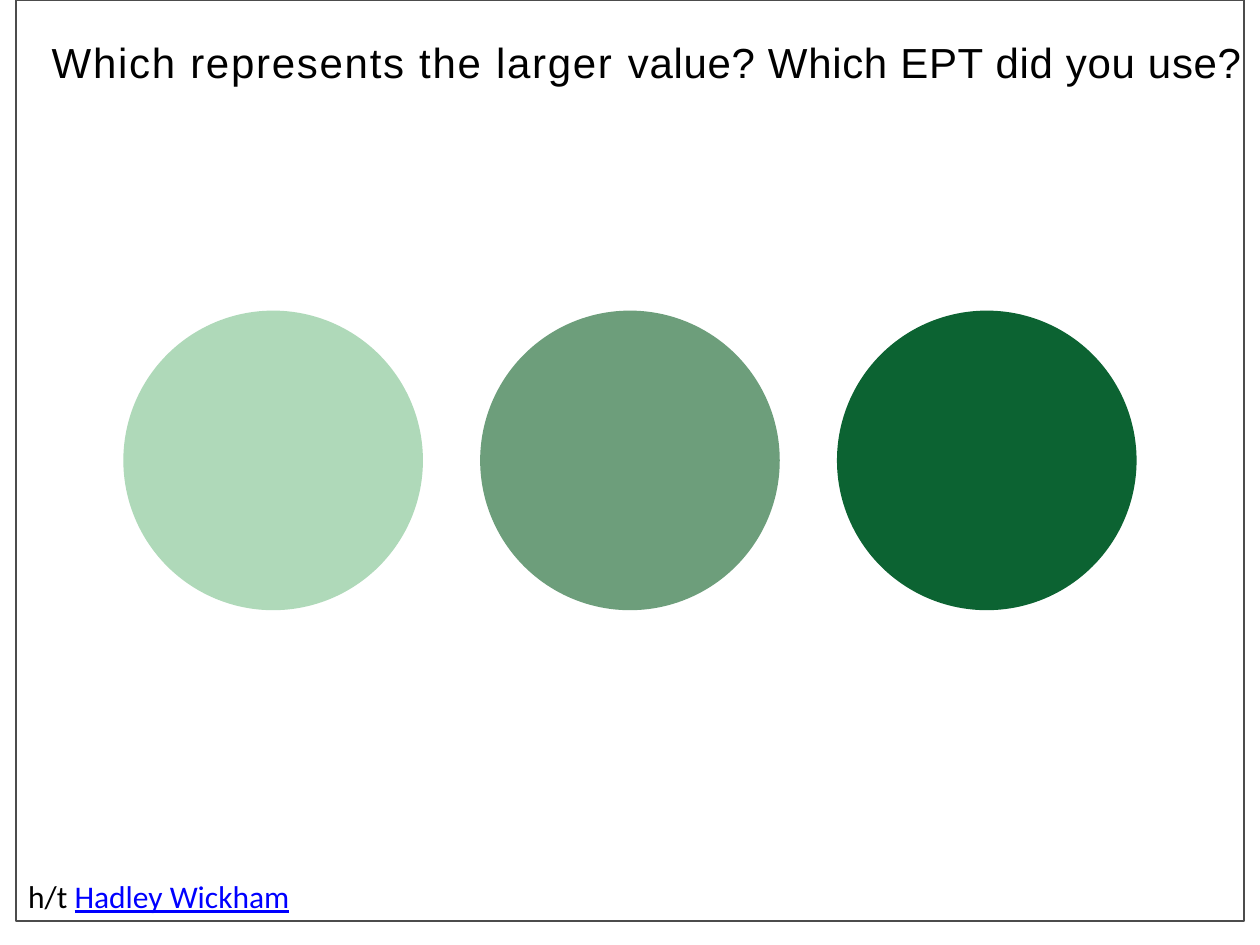
from pptx import Presentation
from pptx.dml.color import RGBColor
from pptx.enum import shapes
from pptx.util import Pt

BLACK = RGBColor(0x00, 0x00, 0x00)
LINK_BLUE = RGBColor(0x00, 0x00, 0xFF)
FRAME_GREY = RGBColor(0x4C, 0x4C, 0x4C)
GREENS = (
    RGBColor(0xAF, 0xD9, 0xB9),
    RGBColor(0x6D, 0x9E, 0x7B),
    RGBColor(0x0C, 0x63, 0x32),
)


def add_paragraph_box(page, left, top, width, height):
    """Add a wrapping text box and return its first paragraph."""
    box = page.shapes.add_textbox(Pt(left), Pt(top), Pt(width), Pt(height))
    box.text_frame.word_wrap = True
    return box.text_frame.paragraphs[0]


def add_span(para, wording, font, size, color=BLACK):
    """Append one formatted run to a paragraph."""
    span = para.add_run()
    span.text = wording
    span.font.name = font
    span.font.size = Pt(size)
    span.font.color.rgb = color
    return span


def add_circles(page, left, top, width, diameter):
    """Spread one circle per green evenly over the given width."""
    step = (width - diameter) / (len(GREENS) - 1)
    for index, green in enumerate(GREENS):
        circle = page.shapes.add_shape(
            shapes.MSO_SHAPE.OVAL,
            Pt(left + index * step), Pt(top), Pt(diameter), Pt(diameter),
        )
        circle.shadow.inherit = False
        circle.fill.solid()
        circle.fill.fore_color.rgb = green
        circle.line.fill.background()


def add_frame(page, left, top, width, height):
    """Draw the thin outline around the page content."""
    frame = page.shapes.add_shape(
        shapes.MSO_SHAPE.RECTANGLE, Pt(left), Pt(top), Pt(width), Pt(height)
    )
    frame.shadow.inherit = False
    frame.fill.background()
    frame.line.color.rgb = FRAME_GREY
    frame.line.width = Pt(1)


def add_credit(page, left, top, width, height):
    """Write the credit line with its underlined name."""
    para = add_paragraph_box(page, left, top, width, height)
    add_span(para, "h/t ", "Calibri", 18)
    name = add_span(para, "Hadley Wickham", "Calibri", 18, LINK_BLUE)
    name.font.underline = True


def add_question(page, left, top, width, height):
    """Write the question, its first words tracked wider than the rest."""
    para = add_paragraph_box(page, left, top, width, height)
    for wording, tracking in (
        ("Which represents the larger ", 1),
        ("value? Which EPT did you use?", 0.4),
    ):
        span = add_span(para, wording, "Arial", 24)
        span.font._element.set("spc", str(round(tracking * 100)))


def main():
    """Build the slide and save the deck."""
    deck = Presentation()
    deck.slide_width, deck.slide_height = Pt(720), Pt(540)
    page = deck.slides.add_slide(deck.slide_layouts[6])
    add_circles(page, 70.5, 177.5, 579, 171.2)
    add_frame(page, 9, 0, 702, 526.5)
    add_credit(page, 9, 497.5, 165.6, 29)
    add_question(page, 22.5, 17.5, 698.4, 36)
    deck.save("out.pptx")


if __name__ == "__main__":
    main()
